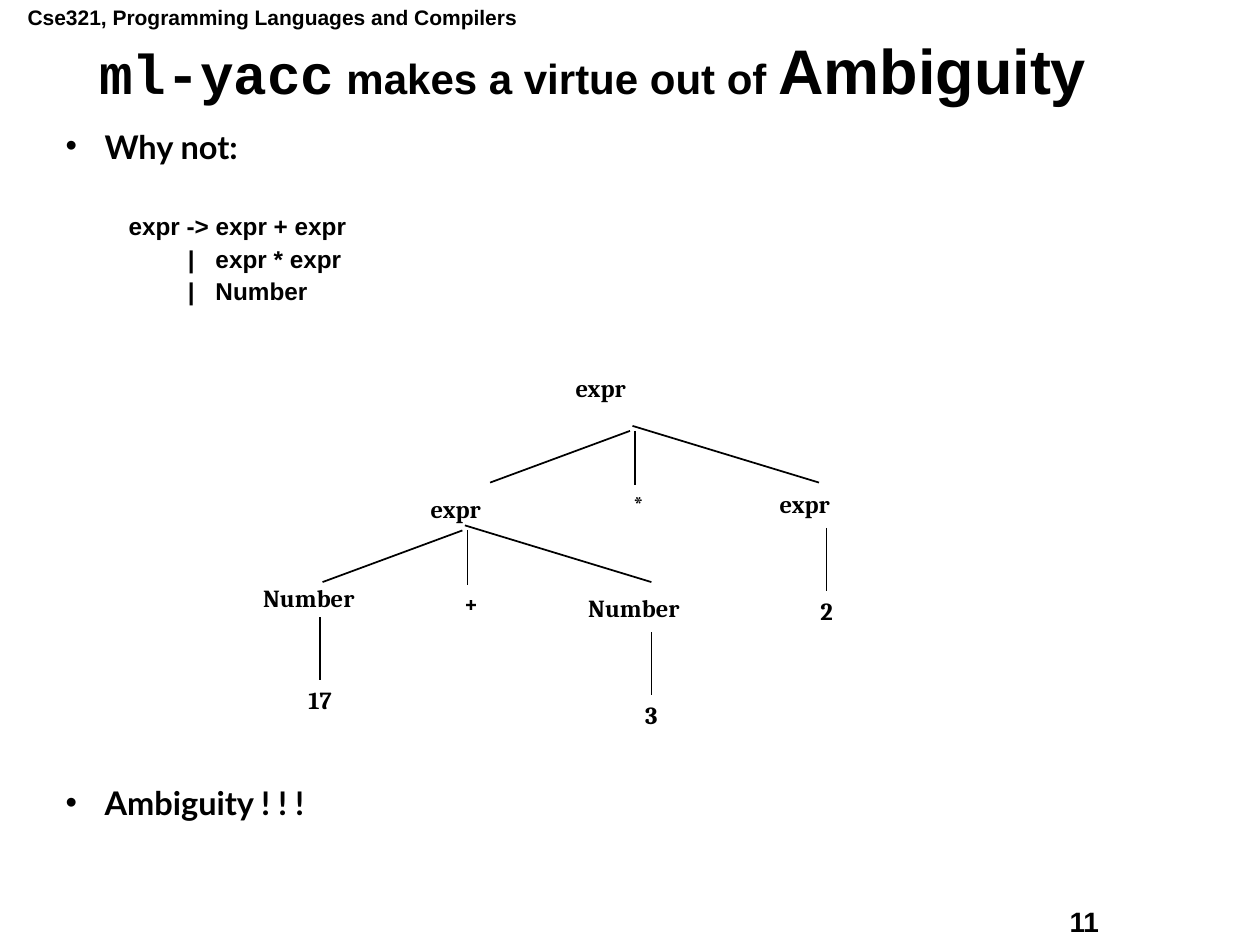
from dataclasses import dataclass

from lxml import etree
from pptx import Presentation, util as u
from pptx.dml.color import RGBColor
from pptx.enum import shapes, text
from pptx.oxml.ns import qn

BLACK = RGBColor(0, 0, 0)
WHITE = RGBColor(255, 255, 255)
LEFT = text.PP_ALIGN.LEFT
CENTER = text.PP_ALIGN.CENTER


@dataclass(frozen=True)
class Label:
    words: str
    left: float
    top: float
    width: float
    align: text.PP_ALIGN = LEFT


@dataclass(frozen=True)
class Item:
    words: str
    size: float
    font: str
    level: int
    margin: float
    indent: float
    before: float


@dataclass(frozen=True)
class Point:
    x: float
    y: float


HEADER = Label("Cse321, Programming Languages and Compilers", 0.12, -0.01, 4.09)
PAGE_NUMBER = Label("11", 8.39, 7.13, 1.27)

TITLE_RUNS = [
    ("ml-yacc", 32, "Courier New"),
    (" makes a virtue out of ", 24, "Arial"),
    ("Ambiguity", 36, "Arial"),
]

ITEMS = [
    Item("Why not:", 18.6, "Lato", 0, 0.31, -0.31, 0),
    Item("expr -> expr + expr", 13.9, "Arial", 1, 0.5, 0, 31.4),
    Item("|\texpr * expr", 13.9, "Arial", 1, 1.19, -0.22, 6.8),
    Item("|\tNumber", 13.9, "Arial", 1, 1.19, -0.22, 6.8),
    Item("Ambiguity ! ! !", 18.6, "Lato", 0, 0.31, -0.31, 279.6),
]

NODES = [
    Label("expr", 4.47, 2.91, 0.96),
    Label("expr", 3.32, 3.87, 1.16),
    Label("*", 4.75, 3.83, 0.64, CENTER),
    Label("expr", 6.09, 3.83, 0.96),
    Label("Number", 1.99, 4.58, 1.41),
    Label("+", 3.42, 4.62, 0.64, CENTER),
    Label("Number", 4.57, 4.66, 1.41),
]

FORKS = [Point(5.02, 3.38), Point(3.69, 4.17)]
LEAVES = [("17", Point(2.54, 4.9)), ("3", Point(5.17, 5.02)), ("2", Point(6.56, 4.19))]


def write(paragraph, words: str, *, size: float, font: str, bold: bool = True) -> None:
    run = paragraph.add_run()
    run.text = words
    run.font.size = u.Pt(size)
    run.font.name = font
    run.font.bold = bold
    run.font.color.rgb = BLACK


def place(shape, left: float, top: float, width: float, height: float) -> None:
    shape.left, shape.top = u.Inches(left), u.Inches(top)
    shape.width, shape.height = u.Inches(width), u.Inches(height)


def add_label(slide, label: Label, size: float = 14, font: str = "Cambria",
              height: float = 0.33, wrap: bool = True) -> None:
    box = slide.shapes.add_textbox(u.Inches(label.left), u.Inches(label.top),
                                   u.Inches(label.width), u.Inches(height))
    box.text_frame.word_wrap = wrap
    paragraph = box.text_frame.paragraphs[0]
    paragraph.alignment = label.align
    write(paragraph, label.words, size=size, font=font)


def add_line(slide, start: Point, end: Point) -> None:
    line = slide.shapes.add_connector(
        shapes.MSO_CONNECTOR.STRAIGHT,
        u.Inches(start.x), u.Inches(start.y), u.Inches(end.x), u.Inches(end.y))
    line.line.color.rgb = BLACK
    line.line.width = u.Pt(1)
    etree.SubElement(line._element.spPr, qn("a:effectLst"))


def add_fork(slide, apex: Point) -> None:
    x, y = apex.x, apex.y
    add_line(slide, Point(x - 0.02, y + 0.04), Point(x - 1.13, y + 0.45))
    add_line(slide, Point(x + 0.02, y + 0.04), Point(x + 0.02, y + 0.47))
    add_line(slide, apex, Point(x + 1.48, y + 0.45))


def add_leaf(slide, words: str, top: Point) -> None:
    add_line(slide, top, Point(top.x, top.y + 0.5))
    add_label(slide, Label(words, top.x - 0.27, top.y + 0.49, 0.54, CENTER))


def add_title(slide) -> None:
    title = slide.shapes.title
    place(title, 0.19, 0.31, 9.03, 0.56)
    frame = title.text_frame
    frame.auto_size = text.MSO_AUTO_SIZE.NONE
    frame.vertical_anchor = text.MSO_ANCHOR.MIDDLE
    paragraph = frame.paragraphs[0]
    paragraph.alignment = CENTER
    paragraph.line_spacing = 0.9
    for words, size, font in TITLE_RUNS:
        write(paragraph, words, size=size, font=font)


def add_item(paragraph, item: Item) -> None:
    paragraph.level = item.level
    paragraph.line_spacing = 0.7
    paragraph.space_before = u.Pt(item.before)
    properties = paragraph._p.get_or_add_pPr()
    properties.set("marL", str(u.Inches(item.margin)))
    properties.set("indent", str(u.Inches(item.indent)))
    if item.level:
        etree.SubElement(properties, qn("a:buNone"))
    else:
        etree.SubElement(properties, qn("a:buChar"), char="•")
    write(paragraph, item.words, size=item.size, font=item.font)


def add_body(slide) -> None:
    body = slide.placeholders[1]
    place(body, 0.42, 1.04, 8.92, 5.96)
    frame = body.text_frame
    frame.auto_size = text.MSO_AUTO_SIZE.NONE
    for index, item in enumerate(ITEMS):
        add_item(frame.add_paragraph() if index else frame.paragraphs[0], item)


def main() -> None:
    presentation = Presentation()
    presentation.slide_width = u.Inches(10)
    presentation.slide_height = u.Inches(7.5)
    slide = presentation.slides.add_slide(presentation.slide_layouts[1])
    slide.background.fill.solid()
    slide.background.fill.fore_color.rgb = WHITE
    add_label(slide, HEADER, size=12, font="Arial", height=0.3, wrap=False)
    add_label(slide, PAGE_NUMBER, size=16, font="Arial", height=0.36, wrap=False)
    add_title(slide)
    add_body(slide)
    for node in NODES:
        add_label(slide, node)
    for apex in FORKS:
        add_fork(slide, apex)
    for words, top in LEAVES:
        add_leaf(slide, words, top)
    presentation.save("out.pptx")


if __name__ == "__main__":
    main()
